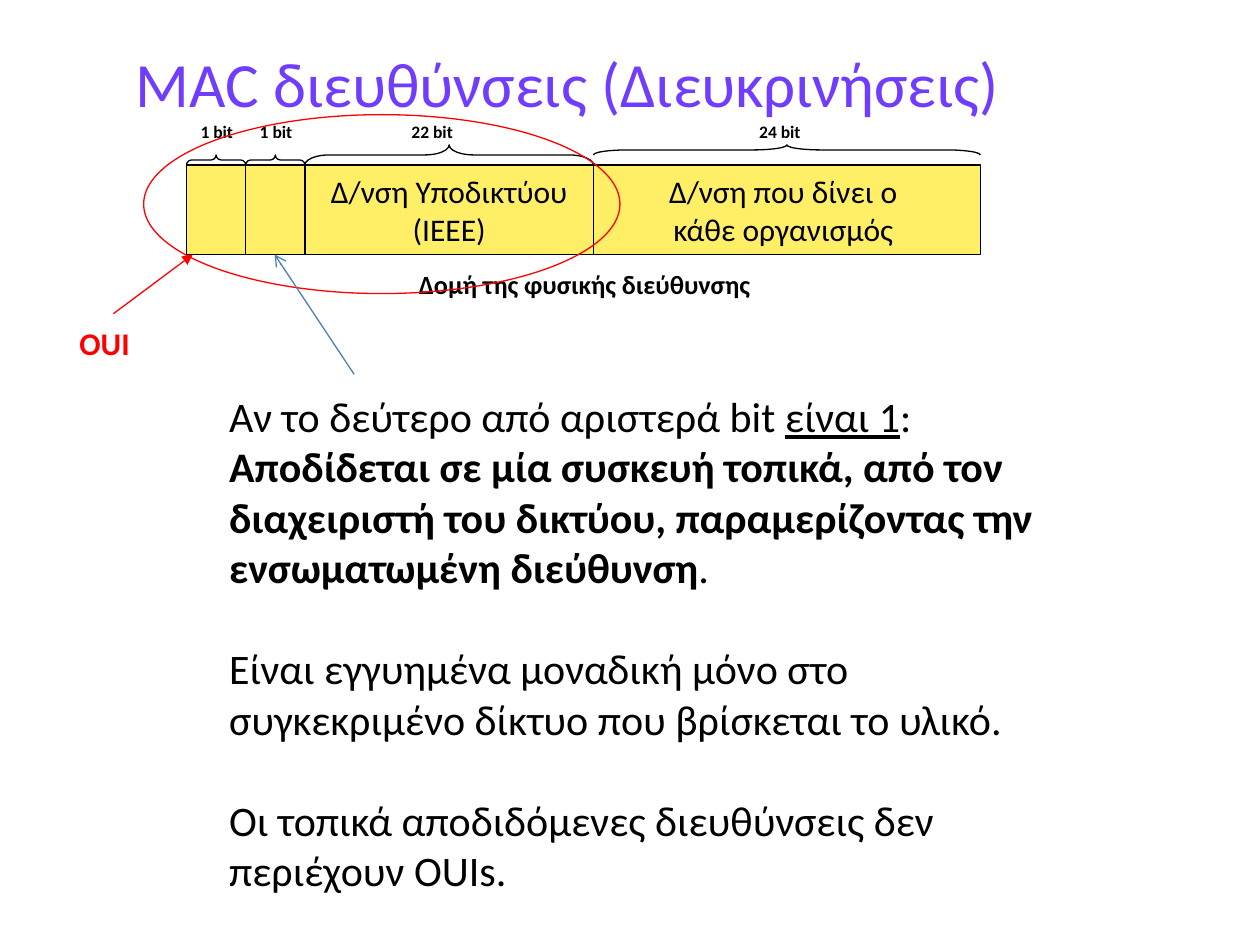
import pptx
import pptx.util
import pptx.dml.color
import pptx.enum.shapes
import pptx.enum.text
import pptx.oxml
import pptx.oxml.ns

Inches, Pt = pptx.util.Inches, pptx.util.Pt
Shape = pptx.enum.shapes.MSO_SHAPE
Anchor = pptx.enum.text.MSO_ANCHOR
Align = pptx.enum.text.PP_ALIGN

COLORS = {
    "title": "703DFF",
    "field": "FFEF66",
    "black": "000000",
    "red": "FF0000",
    "blue": "4B7EBC",
}


def rgb(name):
    return pptx.dml.color.RGBColor.from_string(COLORS[name])


def add_run(p, text, size=18, color="black", bold=False, underline=False, font="Calibri"):
    r = p.add_run()
    r.text = text
    r.font.name = font
    r.font.size = Pt(size)
    r.font.color.rgb = rgb(color)
    r.font.bold = bold
    r.font.underline = underline


class SlideBuilder:
    line_width = Pt(0.75)

    def __init__(self, slide):
        self.slide = slide

    def fill_text(self, sp, paragraphs, anchor=Anchor.TOP, align=Align.CENTER,
                  wrap=False, gap=0, **fmt):
        """Each paragraph is a list of (text, overrides) pairs."""
        tf = sp.text_frame
        tf.word_wrap = wrap
        tf.vertical_anchor = anchor
        for i, runs in enumerate(paragraphs):
            p = tf.add_paragraph() if i else tf.paragraphs[0]
            p.alignment = align
            p.space_before = Pt(gap if i else 0)
            for text, overrides in runs:
                add_run(p, text, **{**fmt, **overrides})

    def text(self, left, top, width, height, paragraphs, **options):
        sp = self.slide.shapes.add_textbox(
            Inches(left), Inches(top), Inches(width), Inches(height))
        self.fill_text(sp, paragraphs, **options)

    def label(self, center, top, width, height, text, **options):
        self.text(center - width / 2, top, width, height, [[(text, {})]], **options)

    def shape(self, kind, left, top, width, height, line="black", fill=None):
        sp = self.slide.shapes.add_shape(
            kind, Inches(left), Inches(top), Inches(width), Inches(height))
        sp.shadow.inherit = False
        sp.line.color.rgb = rgb(line)
        sp.line.width = self.line_width
        if fill:
            sp.fill.solid()
            sp.fill.fore_color.rgb = rgb(fill)
        else:
            sp.fill.background()
        return sp

    def brace(self, left, width, bottom, depth, curve):
        """Draw a brace that opens downwards over the given width."""
        center_x, center_y = left + width / 2, bottom - depth / 2
        sp = self.shape(Shape.LEFT_BRACE, center_x - depth / 2,
                        center_y - width / 2, depth, width)
        sp.rotation = 90
        sp.adjustments[0] = curve
        sp.adjustments[1] = 0.5

    def arrow(self, start, end, color, head):
        sp = self.slide.shapes.add_connector(
            pptx.enum.shapes.MSO_CONNECTOR.STRAIGHT,
            *(Inches(v) for v in start + end))
        sp.line.color.rgb = rgb(color)
        sp.line.width = self.line_width
        ns = pptx.oxml.ns.nsdecls("a")
        sp.line._get_or_add_ln().append(
            pptx.oxml.parse_xml(f'<a:tailEnd {ns} type="{head}"/>'))
        sp._element.spPr.append(pptx.oxml.parse_xml(f"<a:effectLst {ns}/>"))


def main():
    prs = pptx.Presentation()
    prs.slide_width, prs.slide_height = Inches(10), Inches(7.5)
    s = SlideBuilder(prs.slides.add_slide(prs.slide_layouts[6]))

    s.text(0.75, 0.17, 7.51, 0.83, [[("MAC διευθύνσεις (Διευκρινήσεις)", {})]],
           anchor=Anchor.BOTTOM, wrap=True, size=36, color="title")

    # Address fields: width, lines, bit label, label centre, label width,
    # brace bottom, brace depth, brace curve
    fields = [
        (0.47, [], "1 bit", 1.72, 0.48, 1.31, 0.08, 0.5),
        (0.47, [], "1 bit", 2.19, 0.48, 1.31, 0.08, 0.5),
        (2.29, ["Δ/νση Υποδικτύου", "(ΙΕΕΕ)"], "22 bit", 3.43, 0.56, 1.31, 0.16, 1.22),
        (3.07, ["Δ/νση που δίνει ο ", "κάθε οργανισμός "], "24 bit", 6.19, 0.56,
         1.23, 0.08, 3.35),
    ]
    left, top, height = 1.48, 1.31, 0.71
    for width, lines, bits, center, label_width, bottom, depth, curve in fields:
        sp = s.shape(Shape.RECTANGLE, left, top, width, height, fill="field")
        if lines:
            s.fill_text(sp, [[(line, {})] for line in lines], anchor=Anchor.MIDDLE)
        s.label(center, 0.91, label_width, 0.27, bits, size=10, bold=True)
        s.brace(left, width, bottom, depth, curve)
        left += width

    s.label(4.64, 2.08, 3.18, 0.35, "Δομή της φυσικής διεύθυνσης", size=15, bold=True)

    s.text(1.72, 3.05, 6.88, 4.14, [
        [("Αν το δεύτερο από αριστερά bit ", {}),
         ("είναι 1", {"underline": True}),
         (": ", {}),
         ("Αποδίδεται σε μία συσκευή τοπικά, από τον διαχειριστή του δικτύου, "
          "παραμερίζοντας την ενσωματωμένη διεύθυνση", {"bold": True}),
         (".", {})],
        [("Eίναι εγγυημένα μοναδική μόνο στο συγκεκριμένο δίκτυο που βρίσκεται "
          "το υλικό.", {})],
        [("Οι τοπικά αποδιδόμενες διευθύνσεις δεν περιέχουν OUIs.", {})],
    ], align=Align.LEFT, wrap=True, gap=29, size=24)

    s.shape(Shape.OVAL, 1.14, 0.91, 3.78, 1.42, line="red")
    s.arrow((0.9, 2.49), (1.53, 2.02), "red", "triangle")
    s.label(0.83, 2.52, 0.64, 0.4, "OUI", color="red", bold=True)
    s.arrow((2.81, 2.97), (2.18, 2.02), "blue", "arrow")

    prs.save("out.pptx")


if __name__ == "__main__":
    main()
